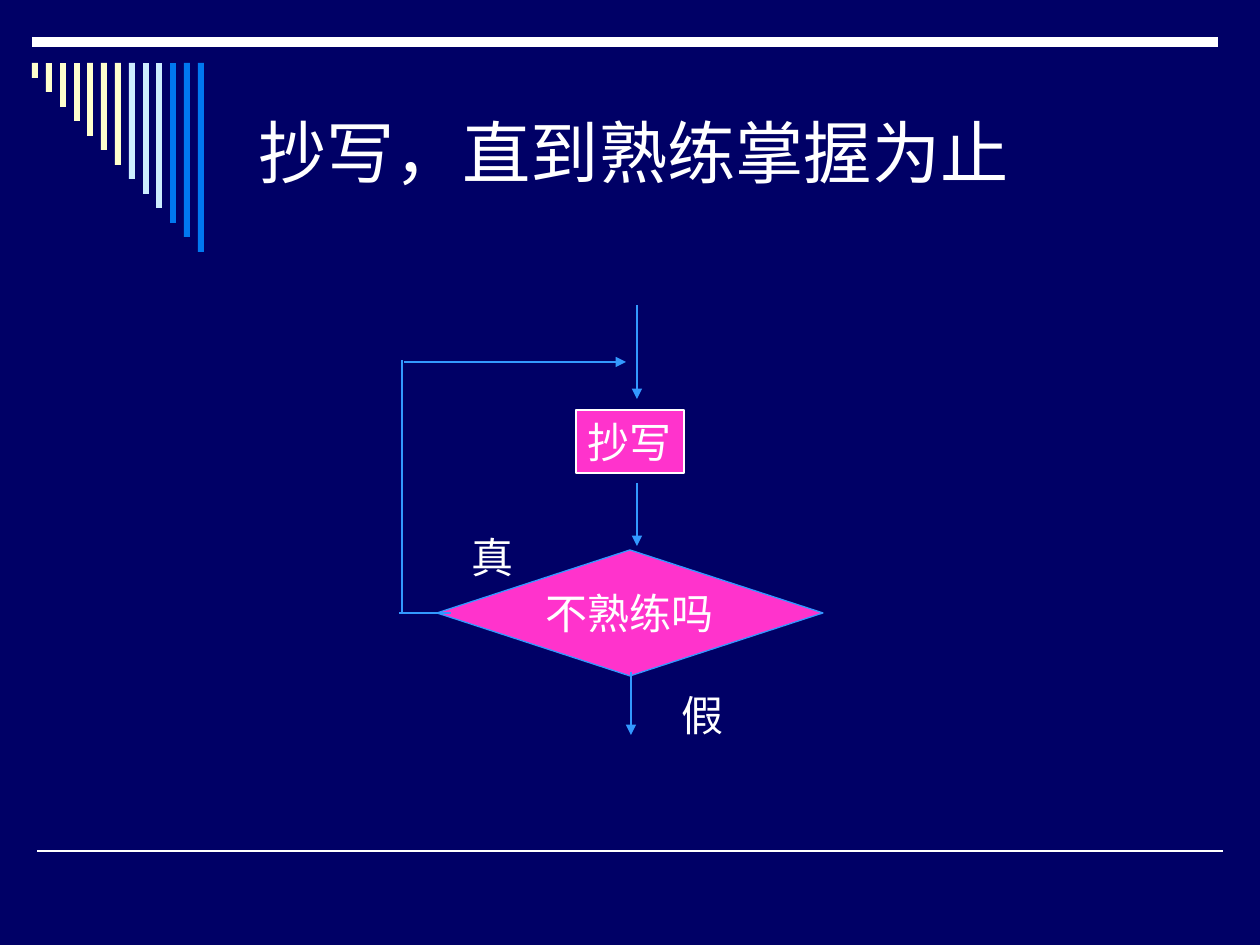
from lxml import etree
from pptx import Presentation, util as u
from pptx.dml.color import RGBColor
from pptx.enum import shapes, text
from pptx.oxml.ns import qn

PX = u.Inches(1) // 126
WHITE, BLUE, PINK = "FFFFFF", "3399FF", "FF33CC"
BAR_COLORS = ["FFFFCC"] * 7 + ["CCECFF"] * 3 + ["0078F0"] * 3


def color(code):
    return RGBColor.from_string(code)


def px(*lengths):
    return [u.Emu(length * PX) for length in lengths]


def set_attributes(target, values):
    for name, value in values.items():
        setattr(target, name, value)


def write(box, words, size, align, left, right, wrap):
    frame = box.text_frame
    margins = px(left, 6, right, 6)
    sides = ("margin_left", "margin_top", "margin_right", "margin_bottom")
    set_attributes(frame, {
        **dict(zip(sides, margins)),
        "word_wrap": wrap,
        "auto_size": text.MSO_AUTO_SIZE.NONE,
        "vertical_anchor": text.MSO_ANCHOR.MIDDLE})
    para = frame.paragraphs[0]
    para.alignment = align
    span = para.add_run()
    span.text = words
    set_attributes(span.font, {"size": u.Pt(size), "name": "Arial"})
    span.font.color.rgb = color(WHITE)


def write_label(box, words):
    """Write centred flowchart text on one line."""
    write(box, words, 24, text.PP_ALIGN.CENTER, left=6, right=6, wrap=False)


def add_shape(parent, kind, place, fill, line=None):
    shape = parent.add_shape(kind, *px(*place))
    shape.shadow.inherit = False
    shape.fill.solid()
    shape.fill.fore_color.rgb = color(fill)
    if line:
        shape.line.color.rgb = color(line)
        shape.line.width = u.Pt(0.75)
    else:
        shape.line.fill.background()
    return shape


def add_line(parent, ends, code=BLUE, width=0.75, arrow=False):
    line = parent.add_connector(shapes.MSO_CONNECTOR.STRAIGHT, *px(*ends))
    line.line.color.rgb = color(code)
    line.line.width = u.Pt(width)
    properties = line.line._get_or_add_ln()
    if arrow:
        etree.SubElement(properties, qn("a:tailEnd"), type="triangle")
    etree.SubElement(properties.getparent(), qn("a:effectLst"))


def add_bars(parent):
    """Draw the row of hanging bars that grow by equal steps."""
    group = parent.add_group_shape().shapes
    count = len(BAR_COLORS)
    for index, fill in enumerate(BAR_COLORS):
        left = 32 + round(index * 166 / (count - 1))
        height = round((index + 1) * 189 / count)
        add_shape(group, shapes.MSO_SHAPE.RECTANGLE, (left, 63, 6, height), fill)


def add_flowchart(parent):
    kinds = shapes.MSO_SHAPE
    for kind, place, line, words in (
            (kinds.FLOWCHART_DECISION, (437, 550, 386, 126), BLUE, "不熟练吗"),
            (kinds.RECTANGLE, (576, 410, 108, 63), WHITE, "抄写")):
        write_label(add_shape(parent, kind, place, PINK, line), words)
    for place, words in (((459, 525, 67, 63), "真"), ((669, 683, 67, 63), "假")):
        write_label(parent.add_textbox(*px(*place)), words)
    for ends in ((637, 483, 637, 546), (637, 305, 637, 399),
                 (631, 672, 631, 735), (404, 362, 626, 362)):
        add_line(parent, ends, arrow=True)
    for ends in ((402, 360, 402, 612), (399, 613, 451, 613)):
        add_line(parent, ends)


def main():
    deck = Presentation()
    deck.slide_width, deck.slide_height = px(1260, 945)
    page = deck.slides.add_slide(deck.slide_layouts[6])
    page.background.fill.solid()
    page.background.fill.fore_color.rgb = color("000066")

    add_line(page.shapes, (37, 851, 1223, 851), WHITE, 1)
    add_line(page.shapes, (32, 42, 1218, 42), WHITE, 6)
    add_bars(page.shapes)
    title = page.shapes.add_textbox(*px(231, 63, 976, 176))
    write(title, "抄写，直到熟练掌握为止", 39, text.PP_ALIGN.LEFT,
          left=27, right=13, wrap=True)
    add_flowchart(page.shapes)
    deck.save("out.pptx")


if __name__ == "__main__":
    main()
